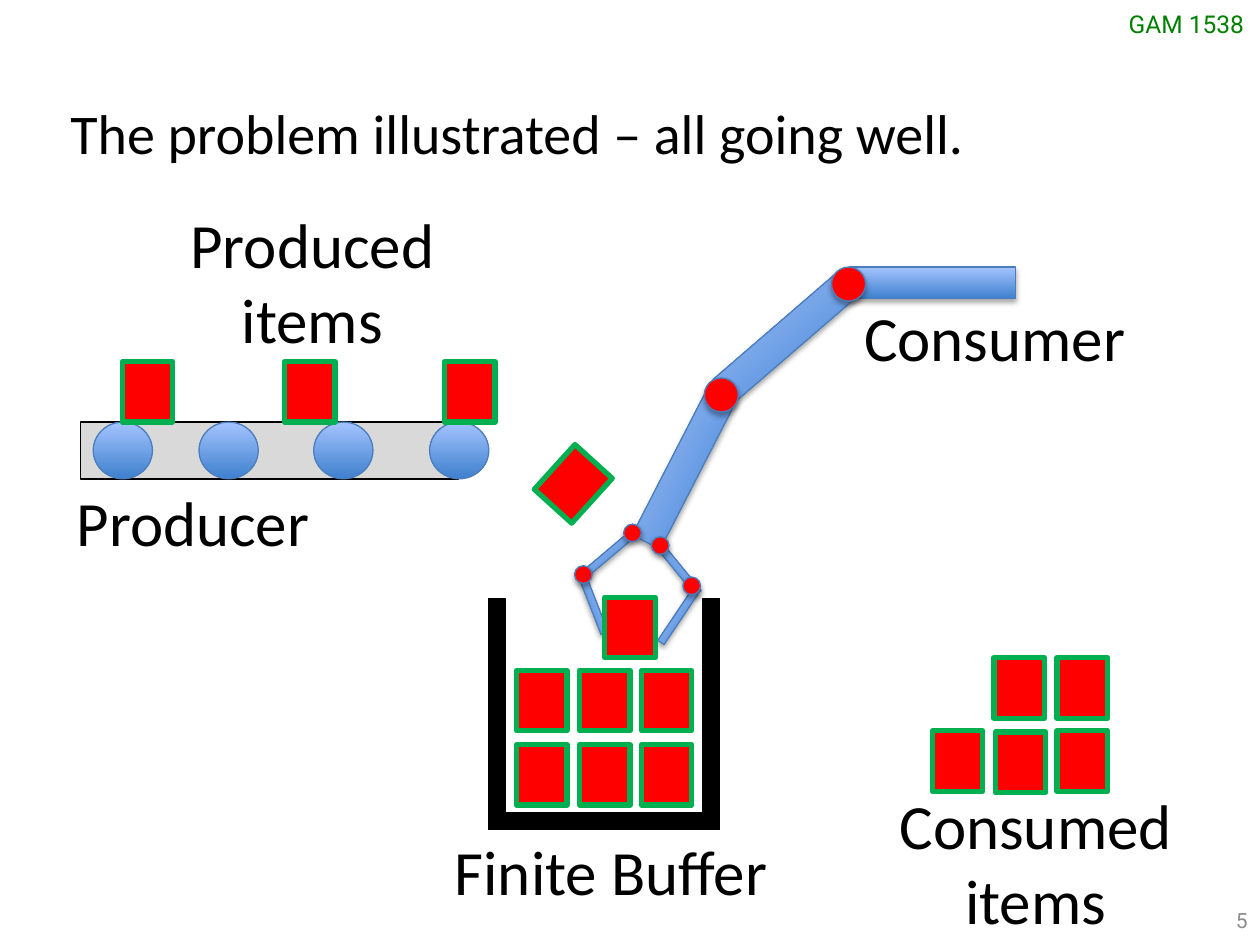
from lxml import etree
from pptx import Presentation
from pptx.dml.color import RGBColor
from pptx.enum import shapes, text
from pptx.oxml.ns import qn
from pptx.util import Inches, Pt

BLACK = RGBColor(0x00, 0x00, 0x00)
GREY = RGBColor(0x8C, 0x8C, 0x8C)
BELT_GREY = RGBColor(0xD9, 0xD9, 0xD9)
RED = RGBColor(0xFF, 0x00, 0x00)
ITEM_GREEN = RGBColor(0x00, 0xB0, 0x50)
HEADER_GREEN = RGBColor(0x00, 0x80, 0x00)
BLUE_LINE = RGBColor(0x4B, 0x7E, 0xBC)
BLUE_DARK = RGBColor(0x3F, 0x80, 0xCE)
BLUE_LIGHT = RGBColor(0xA4, 0xC4, 0xFF)

RECTANGLE = shapes.MSO_SHAPE.RECTANGLE
PROCESS = shapes.MSO_SHAPE.FLOWCHART_PROCESS
CIRCLE = shapes.MSO_SHAPE.FLOWCHART_CONNECTOR
LEFT, CENTER, RIGHT = text.PP_ALIGN.LEFT, text.PP_ALIGN.CENTER, text.PP_ALIGN.RIGHT
ITEM_SIZE = (0.4, 0.48)

presentation = Presentation()
presentation.slide_width, presentation.slide_height = Inches(10), Inches(7.5)
slide = presentation.slides.add_slide(presentation.slide_layouts[6])


def add_part(kind, position, size, fill, line, width=0.75, rotation=0, shadow=False):
    """Add a shape; a pair of fill colours makes a gradient from bottom to top."""
    shape = slide.shapes.add_shape(kind, *map(Inches, (*position, *size)))
    shape.rotation = rotation
    if isinstance(fill, RGBColor):
        shape.fill.solid()
        shape.fill.fore_color.rgb = fill
    else:
        shape.fill.gradient()
        shape.fill.gradient_angle = 90
        for stop, color, place in zip(shape.fill.gradient_stops, fill, (0, 1)):
            stop.color.rgb = color
            stop.position = place
    shape.line.color.rgb = line
    shape.line.width = Pt(width)
    shape.shadow.inherit = False
    if shadow:
        effects = shape._element.spPr.find(qn("a:effectLst"))
        outer = etree.SubElement(effects, qn("a:outerShdw"), blurRad=str(Pt(3.1)),
                                 dist=str(Pt(1.8)), dir="5400000", rotWithShape="0")
        color = etree.SubElement(outer, qn("a:srgbClr"), val=str(BLACK))
        etree.SubElement(color, qn("a:alpha"), val="35000")


def add_text(lines, box, size, font="Calibri", color=BLACK, align=LEFT, wrap=False):
    frame = slide.shapes.add_textbox(*map(Inches, box)).text_frame
    frame.word_wrap = wrap
    frame.text = lines
    for paragraph in frame.paragraphs:
        paragraph.alignment = align
        paragraph.font.name = font
        paragraph.font.size = Pt(size)
        paragraph.font.color.rgb = color
    return frame


# Header, slide number and title
add_text("GAM 1538", (8.86, 0.02, 1.14, 0.34), 14, "Roboto", HEADER_GREEN)
number = add_text("5", (7.67, 7.1, 2.33, 0.4), 12, "Roboto", GREY, RIGHT, True)
number.vertical_anchor = text.MSO_ANCHOR.MIDDLE
add_text("The problem illustrated – all going well.", (0.46, 0.73, 9.08, 0.64), 32, wrap=True)

# Buffer walls and floor
for left, top, rotation in ((3.88, 4.75, 0), (5.58, 4.75, 0), (4.73, 5.6, 270)):
    add_part(RECTANGLE, (left, top), (0.13, 1.83), BLACK, BLACK, rotation=rotation)

# Conveyor belt with rollers
add_part(PROCESS, (0.64, 3.35), (3, 0.45), BELT_GREY, BLACK, 1)
for left in (0.74, 1.58, 2.49, 3.41):
    add_part(CIRCLE, (left, 3.35), (0.47, 0.45), (BLUE_DARK, BLUE_LIGHT), BLUE_LINE)

# Items on the belt, falling, and in the buffer
belt_items = [(left, 2.87) for left in (0.97, 2.26, 3.53)]
buffer_items = [(left, top) for top in (5.91, 5.32) for left in (4.1, 4.6, 5.09)]
for position in belt_items + buffer_items:
    add_part(PROCESS, position, ITEM_SIZE, RED, ITEM_GREEN, 3)
add_part(PROCESS, (4.35, 3.6), ITEM_SIZE, RED, ITEM_GREEN, 3, rotation=42.2)

# Gripper fingers and the item they hold
for left, top, rotation in ((4.6, 4.36, 319.8), (5.15, 4.49, 50.7),
                            (4.47, 4.77, 68.7), (5.14, 4.87, 303.9)):
    add_part(RECTANGLE, (left, top), (0.48, 0.06), (BLUE_DARK, BLUE_LIGHT), BLUE_LINE,
             rotation=rotation, shadow=True)
add_part(PROCESS, (4.8, 4.74), ITEM_SIZE, RED, ITEM_GREEN, 3)

# Arm segments, then the joints on top
for left, top, rotation in ((6.74, 2.12, 0), (5.58, 2.55, 319.2), (4.77, 3.59, 297.2)):
    add_part(RECTANGLE, (left, top), (1.32, 0.25), (BLUE_DARK, BLUE_LIGHT), BLUE_LINE,
             rotation=rotation, shadow=True)
for left, top, diameter in ((6.6, 2.12, 0.27), (5.59, 3, 0.27), (4.95, 4.16, 0.14),
                            (5.17, 4.26, 0.14), (4.56, 4.49, 0.14), (5.42, 4.58, 0.14)):
    add_part(CIRCLE, (left, top), (diameter, diameter), RED, BLUE_LINE, shadow=True)

# Consumed items
for position in ((7.4, 5.8), (7.9, 5.81), (8.39, 5.8), (7.89, 5.22), (8.39, 5.22)):
    add_part(PROCESS, position, ITEM_SIZE, RED, ITEM_GREEN, 3)

# Labels
for label, box, align in (
    ("Producer", (0.51, 3.79, 2.07, 0.71), LEFT),
    ("Consumer", (6.76, 2.32, 2.3, 0.71), LEFT),
    ("Finite Buffer", (3.51, 6.56, 2.71, 0.71), LEFT),
    ("Consumed\nitems", (7.03, 6.19, 2.38, 1.31), CENTER),
    ("Produced\nitems", (1.4, 1.58, 2.16, 1.31), CENTER),
):
    add_text(label, box, 36, align=align)

presentation.save("out.pptx")
